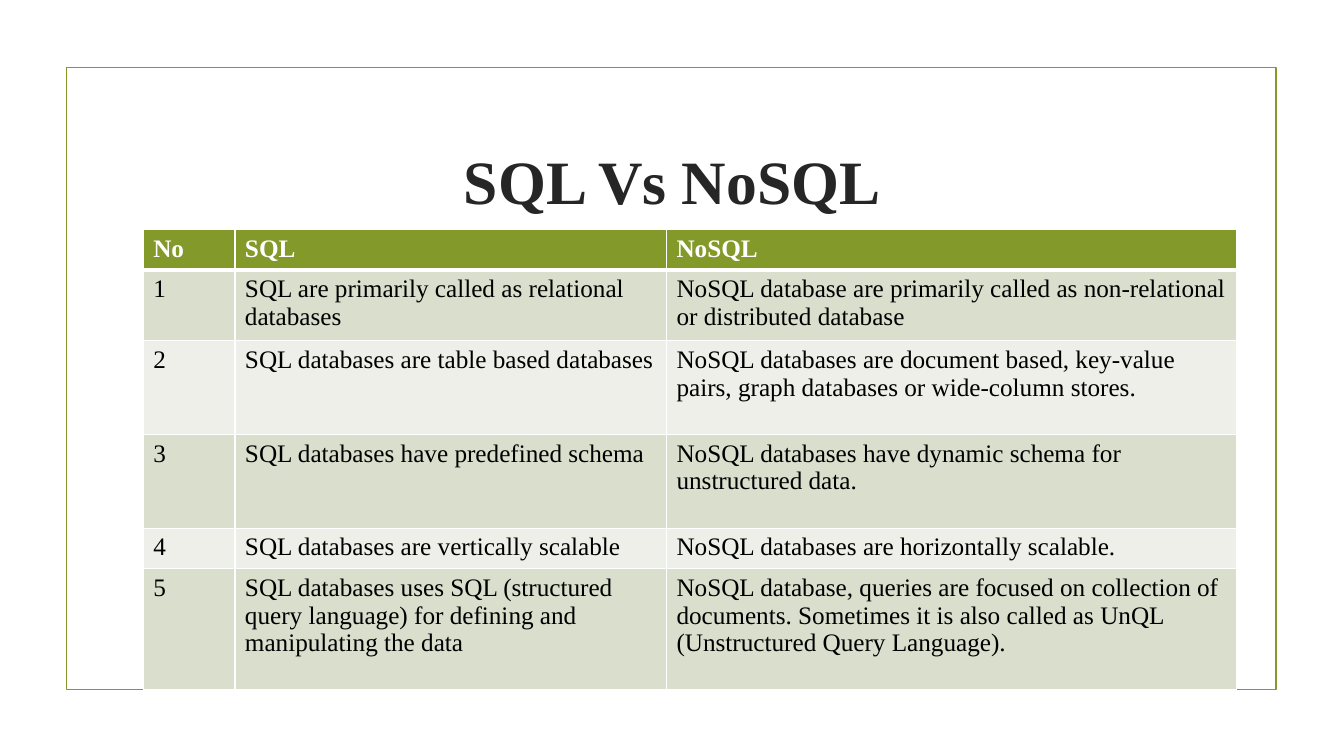
"""Build a slide comparing SQL and NoSQL databases in a table."""
from lxml import etree
from pptx import Presentation
from pptx import util as u
from pptx.dml.color import RGBColor
from pptx.enum import shapes, text
from pptx.oxml.ns import qn

TITLE = "SQL Vs NoSQL"
ROWS = [
    ("No", "SQL", "NoSQL"),
    ("1", "SQL are primarily called as relational databases",
     "NoSQL database are primarily called as non-relational or distributed database"),
    ("2", "SQL databases are table based databases",
     "NoSQL databases are document based, key-value pairs, graph databases or wide-column stores."),
    ("3", "SQL databases have predefined schema",
     "NoSQL databases have dynamic schema for unstructured data."),
    ("4", "SQL databases are vertically scalable",
     "NoSQL databases are horizontally scalable."),
    ("5", "SQL databases uses SQL (structured query language) for defining and manipulating the data",
     "NoSQL database, queries are focused on collection of documents. "
     "Sometimes it is also called as UnQL (Unstructured Query Language)."),
]
COLUMN_WIDTHS = [0.91, 4.28, 5.65]
ROW_HEIGHTS = [0.37, 0.65, 0.93, 0.93, 0.37, 1.2]
FRAME_AT = (0.66, 0.67, 12, 6.17)
TITLE_AT = (1.42, 1.07, 10.5, 1.43)
TABLE_AT = (1.42, 2.28, sum(COLUMN_WIDTHS), sum(ROW_HEIGHTS))
THEME = {
    "font": "Times New Roman", "accent": "83992A", "title": "262626",
    "body": "000000", "white": "FFFFFF", "bands": ("D9DECD", "EDEFE8"),
    "title_size": 44, "table_size": 18, "frame_line": 1.25,
    "grid_line": 1, "header_line": 3,
}


def inches(values):
    return [u.Inches(value) for value in values]


def write(para, words, size, color, bold):
    span = para.add_run()
    span.text = words
    span.font.color.rgb = RGBColor.from_string(color)
    formats = {"name": THEME["font"], "size": u.Pt(size), "bold": bold}
    for name, value in formats.items():
        setattr(span.font, name, value)


def set_borders(cell, widths):
    properties = cell._tc.get_or_add_tcPr()
    for index, (side, width) in enumerate(widths.items()):
        line = etree.Element(qn("a:ln" + side), w=str(u.Pt(width)))
        fill = etree.SubElement(line, qn("a:solidFill"))
        etree.SubElement(fill, qn("a:srgbClr"), val=THEME["white"])
        properties.insert(index, line)


def add_frame(page):
    frame = page.shapes.add_shape(shapes.MSO_SHAPE.RECTANGLE, *inches(FRAME_AT))
    frame.shadow.inherit = False
    frame.fill.background()
    frame.line.color.rgb = RGBColor.from_string(THEME["accent"])
    frame.line.width = u.Pt(THEME["frame_line"])


def add_title(page):
    box = page.shapes.add_textbox(*inches(TITLE_AT)).text_frame
    formats = {"word_wrap": True, "vertical_anchor": text.MSO_ANCHOR.MIDDLE}
    for name, value in formats.items():
        setattr(box, name, value)
    para = box.paragraphs[0]
    para.alignment = text.PP_ALIGN.CENTER
    write(para, TITLE, THEME["title_size"], THEME["title"], True)


def add_comparison(page):
    table = page.shapes.add_table(len(ROWS), len(COLUMN_WIDTHS), *inches(TABLE_AT)).table
    for column, width in zip(table.columns, COLUMN_WIDTHS):
        column.width = u.Inches(width)
    for index, (row, height, words) in enumerate(zip(table.rows, ROW_HEIGHTS, ROWS)):
        row.height = u.Inches(height)
        header = index == 0
        fill = THEME["accent"] if header else THEME["bands"][(index - 1) % 2]
        color = THEME["white"] if header else THEME["body"]
        borders = dict.fromkeys("LRTB", THEME["grid_line"])
        if index < 2:
            borders["B" if header else "T"] = THEME["header_line"]
        for cell, entry in zip(row.cells, words):
            cell.fill.solid()
            cell.fill.fore_color.rgb = RGBColor.from_string(fill)
            set_borders(cell, borders)
            write(cell.text_frame.paragraphs[0], entry, THEME["table_size"], color, header)


def main():
    deck = Presentation()
    deck.slide_width, deck.slide_height = inches((13.33, 7.5))
    page = deck.slides.add_slide(deck.slide_layouts[6])
    add_frame(page)
    add_title(page)
    add_comparison(page)
    deck.save("out.pptx")


if __name__ == "__main__":
    main()
